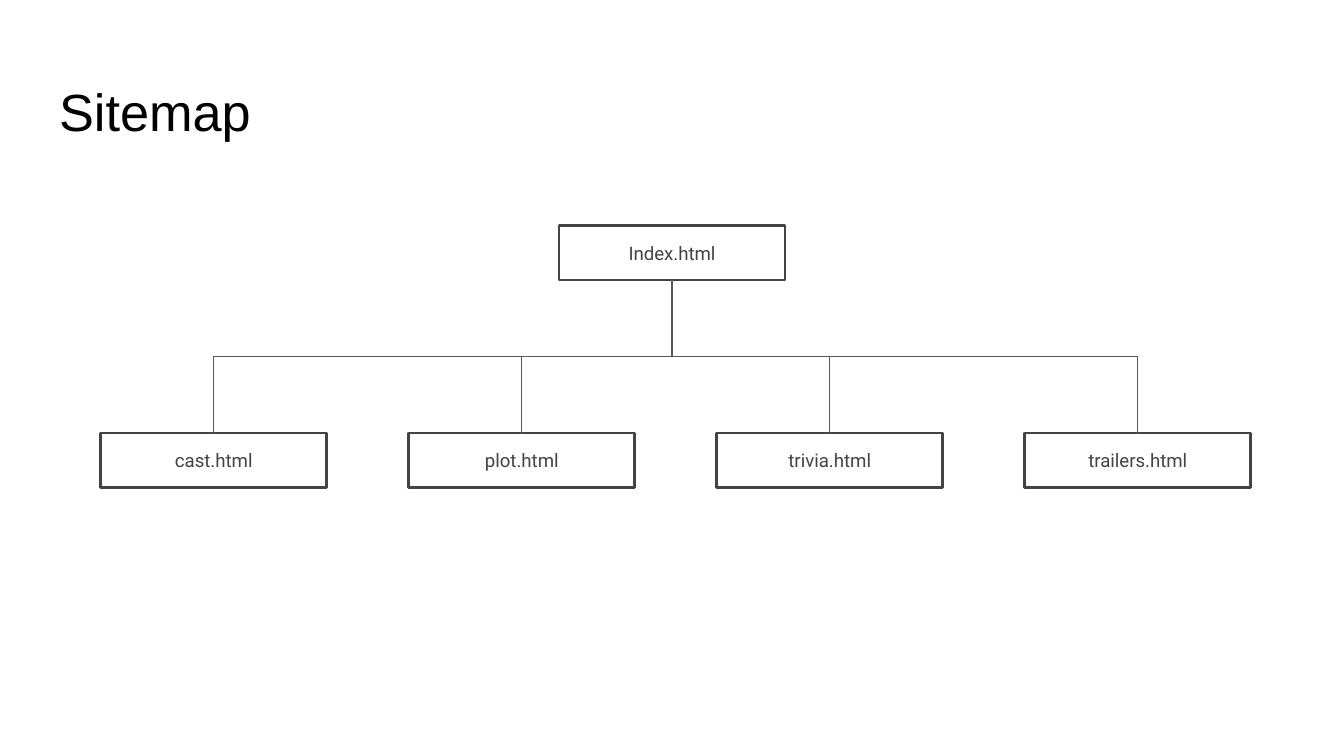
from pptx import Presentation
from pptx.dml.color import RGBColor
from pptx.enum import shapes, text
from pptx.oxml import ns
from pptx.util import Pt
from lxml import etree

TITLE = "Sitemap"
ROOT = "Index.html"
PAGES = ["cast.html", "plot.html", "trivia.html", "trailers.html"]

BLACK = RGBColor(0x00, 0x00, 0x00)
DARK = RGBColor(0x43, 0x43, 0x43)
GREY = RGBColor(0x59, 0x59, 0x59)

SLIDE_W, SLIDE_H = 720, 405
BOX_W, BOX_H = 121, 29
ROOT_X, ROOT_Y = (SLIDE_W - BOX_W) / 2, 121
PAGES_X, PAGES_Y, PAGES_STEP = 54, 232, 165
INSET = 7.2
TOP_SITE, BOTTOM_SITE = 0, 2


def set_frame(tf, anchor):
    tf.word_wrap = True
    tf.auto_size = text.MSO_AUTO_SIZE.NONE
    tf.vertical_anchor = anchor
    tf.margin_left = tf.margin_right = Pt(INSET)
    tf.margin_top = tf.margin_bottom = Pt(INSET)


def set_text(tf, words, font, size, color, align):
    tf.text = words
    p = tf.paragraphs[0]
    p.alignment = align
    p.font.name, p.font.size = font, Pt(size)
    p.font.color.rgb = color


def add_box(s, words, x, y):
    sp = s.shapes.add_shape(shapes.MSO_SHAPE.RECTANGLE, Pt(x), Pt(y), Pt(BOX_W), Pt(BOX_H))
    sp.shadow.inherit = False
    sp.fill.background()
    sp.line.color.rgb, sp.line.width = DARK, Pt(1.5)
    set_frame(sp.text_frame, text.MSO_ANCHOR.MIDDLE)
    set_text(sp.text_frame, words, "Roboto", 10, DARK, text.PP_ALIGN.CENTER)
    return sp


def add_branch(s, root, page):
    ends = [(root, BOTTOM_SITE), (page, TOP_SITE)]
    ends.sort(key=lambda end: end[0].left)
    cxn = s.shapes.add_connector(shapes.MSO_CONNECTOR.ELBOW, 0, 0, 0, 0)
    cxn.begin_connect(*ends[0])
    cxn.end_connect(*ends[1])
    cxn.line.color.rgb, cxn.line.width = GREY, Pt(0.75)
    etree.SubElement(cxn._element.spPr, ns.qn("a:effectLst"))

    across = abs(page.left - root.left)
    top = root.top + root.height
    down = page.top - top
    mid_x = (root.left + page.left + BOX_W * Pt(1)) // 2
    mid_y = top + down // 2
    cxn.left, cxn.top = mid_x - down // 2, mid_y - across // 2
    cxn.width, cxn.height = down, across
    xfrm = cxn._element.spPr.find(ns.qn("a:xfrm"))
    xfrm.set("rot", str(270 * 60000))
    xfrm.set("flipH", "1" if ends[0][0] is root else "0")
    xfrm.set("flipV", "0")


def main():
    prs = Presentation()
    prs.slide_width, prs.slide_height = Pt(SLIDE_W), Pt(SLIDE_H)
    s = prs.slides.add_slide(prs.slide_layouts[5])

    title = s.shapes.title
    title.left, title.top, title.width, title.height = Pt(24.5), Pt(35), Pt(671), Pt(45)
    set_frame(title.text_frame, text.MSO_ANCHOR.TOP)
    set_text(title.text_frame, TITLE, "Arial", 28, BLACK, text.PP_ALIGN.LEFT)

    root = add_box(s, ROOT, ROOT_X, ROOT_Y)
    pages = [add_box(s, name, PAGES_X + i * PAGES_STEP, PAGES_Y)
             for i, name in enumerate(PAGES)]
    for page in pages:
        add_branch(s, root, page)

    prs.save("out.pptx")


if __name__ == "__main__":
    main()
